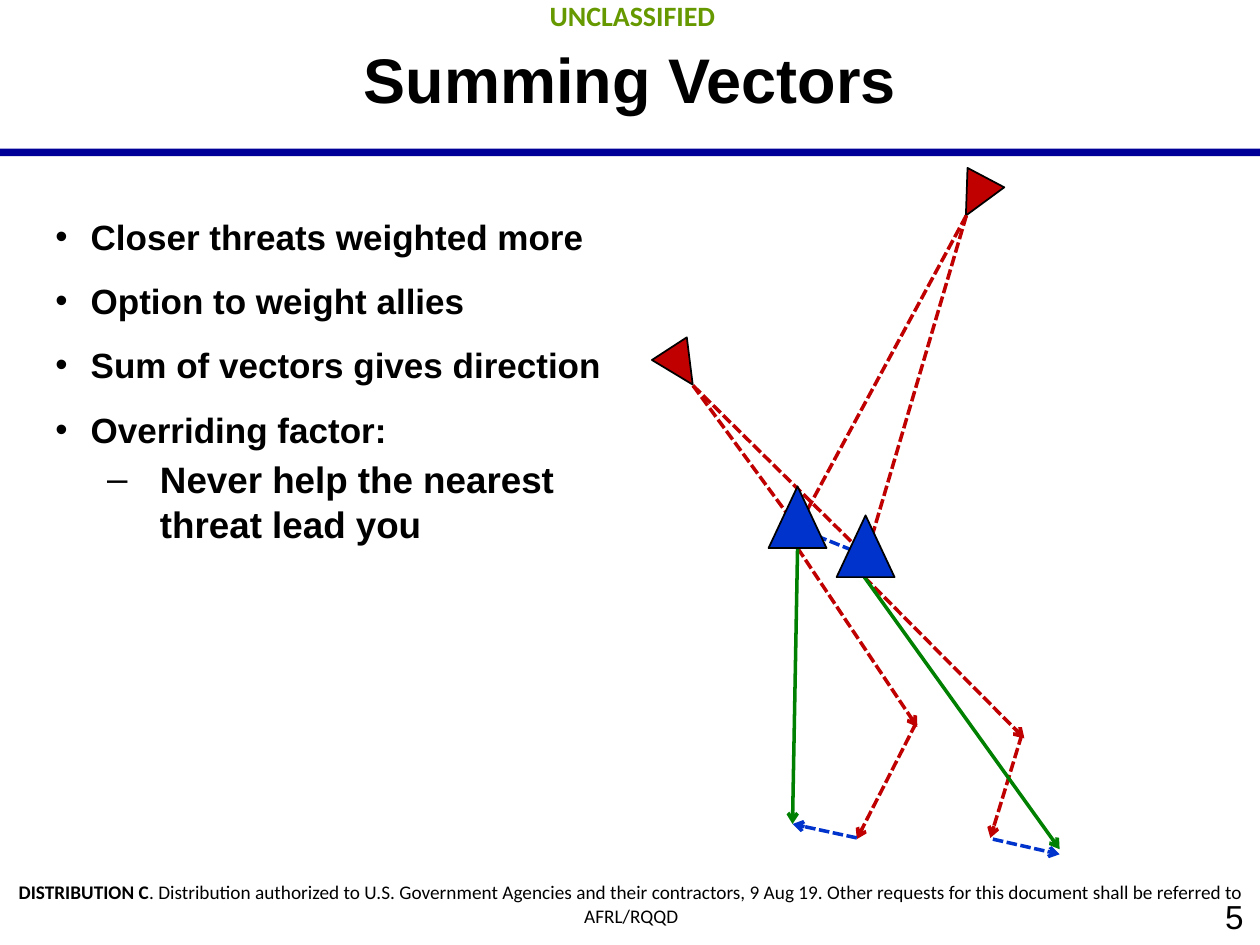
from lxml import etree
from pptx import Presentation
from pptx.dml.color import RGBColor
from pptx.enum.dml import MSO_LINE
from pptx.enum.shapes import MSO_CONNECTOR, MSO_SHAPE
from pptx.enum.text import MSO_ANCHOR, PP_ALIGN
from pptx.oxml.ns import qn
from pptx.util import Inches, Pt

STRAIGHT = MSO_CONNECTOR.STRAIGHT
DASHED = MSO_LINE.SQUARE_DOT
RECTANGLE, TRIANGLE = MSO_SHAPE.RECTANGLE, MSO_SHAPE.ISOSCELES_TRIANGLE
TOP, MIDDLE = MSO_ANCHOR.TOP, MSO_ANCHOR.MIDDLE
LEFT, CENTER, RIGHT = PP_ALIGN.LEFT, PP_ALIGN.CENTER, PP_ALIGN.RIGHT

BLACK, NAVY, OLIVE = "000000", "000099", "669900"
THREAT, ALLY, RESULT = "C00000", "0033CC", "008000"

THREAT_LEFT, THREAT_RIGHT = (5.5, 3.06), (7.67, 1.71)
LEAD_BASE, WING_BASE = (6.33, 4.35), (6.86, 4.58)
VECTORS = [
    (THREAT_RIGHT, (6.33, 4.19), THREAT),
    (THREAT_LEFT, (6.33, 4.19), THREAT),
    (LEAD_BASE, (7.28, 5.77), THREAT),
    ((7.27, 5.74), (6.8, 6.66), THREAT),
    ((6.87, 4.41), (6.35, 4.2), ALLY),
    ((6.8, 6.65), (6.29, 6.54), ALLY),
    (LEAD_BASE, (6.29, 6.54), RESULT),
    (WING_BASE, (8.13, 5.86), THREAT),
    ((8.11, 5.83), (7.86, 6.65), THREAT),
    ((7.88, 6.66), (8.41, 6.78), ALLY),
    (WING_BASE, (8.41, 6.74), RESULT),
    (THREAT_LEFT, (6.87, 4.41), THREAT),
    (THREAT_RIGHT, (6.87, 4.43), THREAT),
]
POINTS = [
    "Closer threats weighted more",
    "Option to weight allies",
    "Sum of vectors gives direction",
    "Overriding factor:",
]
SUBPOINT = "Never help the nearest threat lead you"


def rgb(code):
    return RGBColor.from_string(code)


def style_run(run, size, font="Arial", color=BLACK, bold=False):
    run.font.size = Pt(size)
    run.font.name = font
    run.font.bold = bold
    run.font.color.rgb = rgb(color)


def add_frame(slide, left, top, width, height, anchor=TOP):
    frame = slide.shapes.add_textbox(
        Inches(left), Inches(top), Inches(width), Inches(height)).text_frame
    frame.word_wrap = True
    frame.vertical_anchor = anchor
    frame.margin_left = frame.margin_right = Inches(0.13)
    frame.margin_top = frame.margin_bottom = Inches(0.07)
    return frame


def add_label(slide, bounds, text, size, align, anchor=TOP, **style):
    frame = add_frame(slide, *bounds, anchor)
    frame.text = text
    label = frame.paragraphs[0]
    label.alignment = align
    style_run(label.runs[0], size, **style)
    return label


def add_bullet(paragraph, text, mark, margin, indent, size, before):
    paragraph.text = text
    paragraph.alignment = LEFT
    paragraph.space_before = Pt(before)
    style_run(paragraph.runs[0], size, bold=True)
    properties = paragraph._p.get_or_add_pPr()
    properties.set("marL", str(Inches(margin)))
    properties.set("indent", str(Inches(indent)))
    etree.SubElement(properties, qn("a:buFont")).set("typeface", "Arial")
    etree.SubElement(properties, qn("a:buChar")).set("char", mark)


def add_points(slide):
    frame = add_frame(slide, 0.06, 1.57, 4.89, 4.97)
    for index, point in enumerate(POINTS):
        paragraph = frame.add_paragraph() if index else frame.paragraphs[0]
        paragraph.line_spacing = 1.2
        add_bullet(paragraph, point, "•", 0.53, -0.28, 20, 8)
    subpoint = frame.add_paragraph()
    subpoint.level = 1
    add_bullet(subpoint, SUBPOINT, "–", 1.08, -0.42, 21, 4)


def add_solid(slide, preset, left, top, width, height, color):
    solid = slide.shapes.add_shape(
        preset, Inches(left), Inches(top), Inches(width), Inches(height))
    solid.shadow.inherit = False
    solid.fill.solid()
    solid.fill.fore_color.rgb = rgb(color)
    solid.line.fill.background()
    return solid


def add_aircraft(slide, left, top, width, height, color, heading=0):
    aircraft = add_solid(slide, TRIANGLE, left, top, width, height, color)
    aircraft.rotation = heading
    aircraft.line.color.rgb = rgb(BLACK)
    aircraft.line.width = Pt(1)


def add_vector(slide, start, end, color):
    vector = slide.shapes.add_connector(
        STRAIGHT, *(Inches(value) for value in start + end))
    vector.line.color.rgb = rgb(color)
    vector.line.width = Pt(2)
    if color != RESULT:
        vector.line.dash_style = DASHED
    outline = vector.line._get_or_add_ln()
    etree.SubElement(outline, qn("a:tailEnd")).set("type", "arrow")
    etree.SubElement(vector._element.spPr, qn("a:effectLst"))


def add_distribution(slide):
    notice = add_label(slide, (0, 6.92, 10.02, 0.5), "DISTRIBUTION C",
                       11, CENTER, font="Calibri", bold=True)
    terms = notice.add_run()
    terms.text = (". Distribution authorized to U.S. Government Agencies and "
                  "their contractors, 9 Aug 19. Other requests for this "
                  "document shall be referred to AFRL/RQQD")
    style_run(terms, 11, font="Calibri")


def main():
    deck = Presentation()
    deck.slide_width, deck.slide_height = Inches(10), Inches(7.5)
    slide = deck.slides.add_slide(deck.slide_layouts[6])

    add_label(slide, (8, 7.05, 2, 0.45), "5", 19, RIGHT, MIDDLE)
    add_label(slide, (0.02, -0.08, 10, 0.4), "UNCLASSIFIED", 16, CENTER,
              font="Calibri", color=OLIVE, bold=True)
    add_distribution(slide)
    add_solid(slide, RECTANGLE, 0, 1.18, 10, 0.06, NAVY)
    add_label(slide, (0.5, 0, 9, 1.25), "Summing Vectors", 36, CENTER, MIDDLE,
              bold=True)
    add_points(slide)

    add_aircraft(slide, 5.24, 2.74, 0.33, 0.34, THREAT, 147)
    add_aircraft(slide, 7.58, 1.39, 0.33, 0.34, THREAT, 207.8)
    for start, end, color in VECTORS:
        add_vector(slide, start, end, color)
    add_aircraft(slide, 6.1, 3.86, 0.46, 0.49, ALLY)
    add_aircraft(slide, 6.64, 4.09, 0.46, 0.49, ALLY)

    deck.save("out.pptx")


if __name__ == "__main__":
    main()
